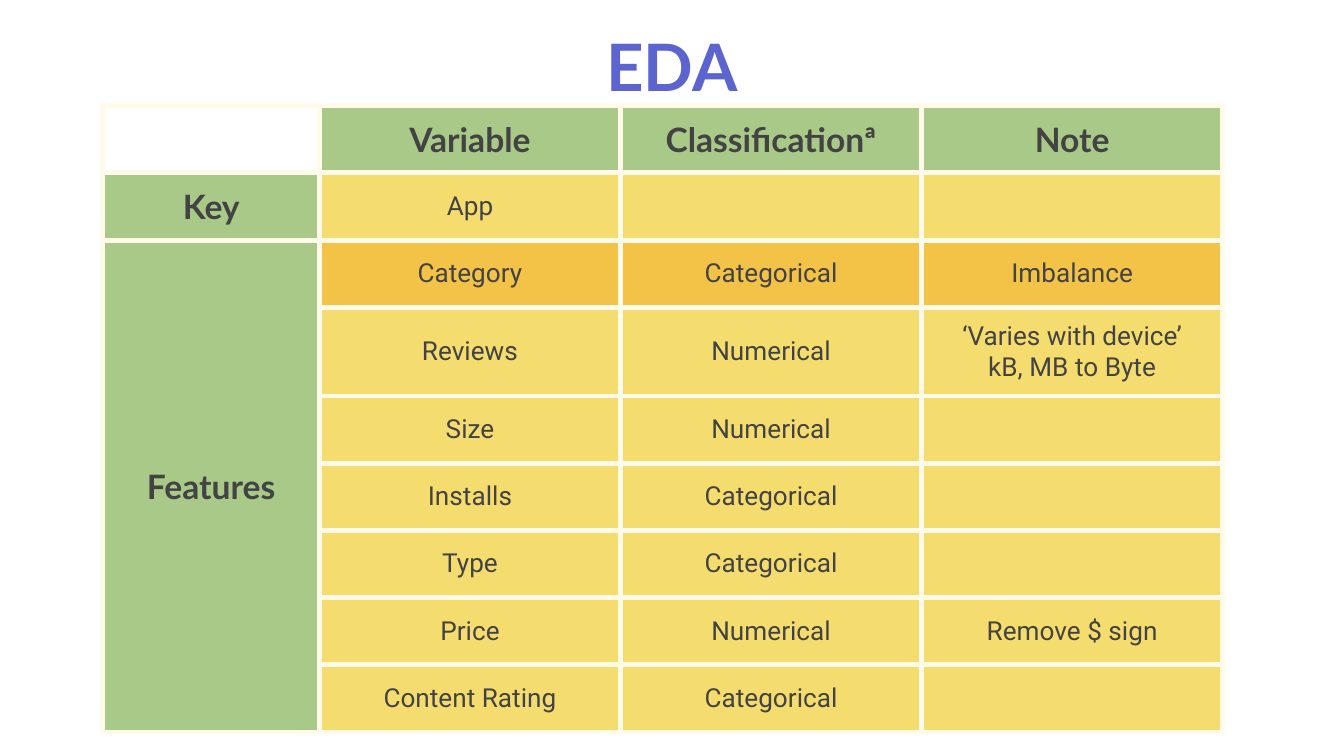
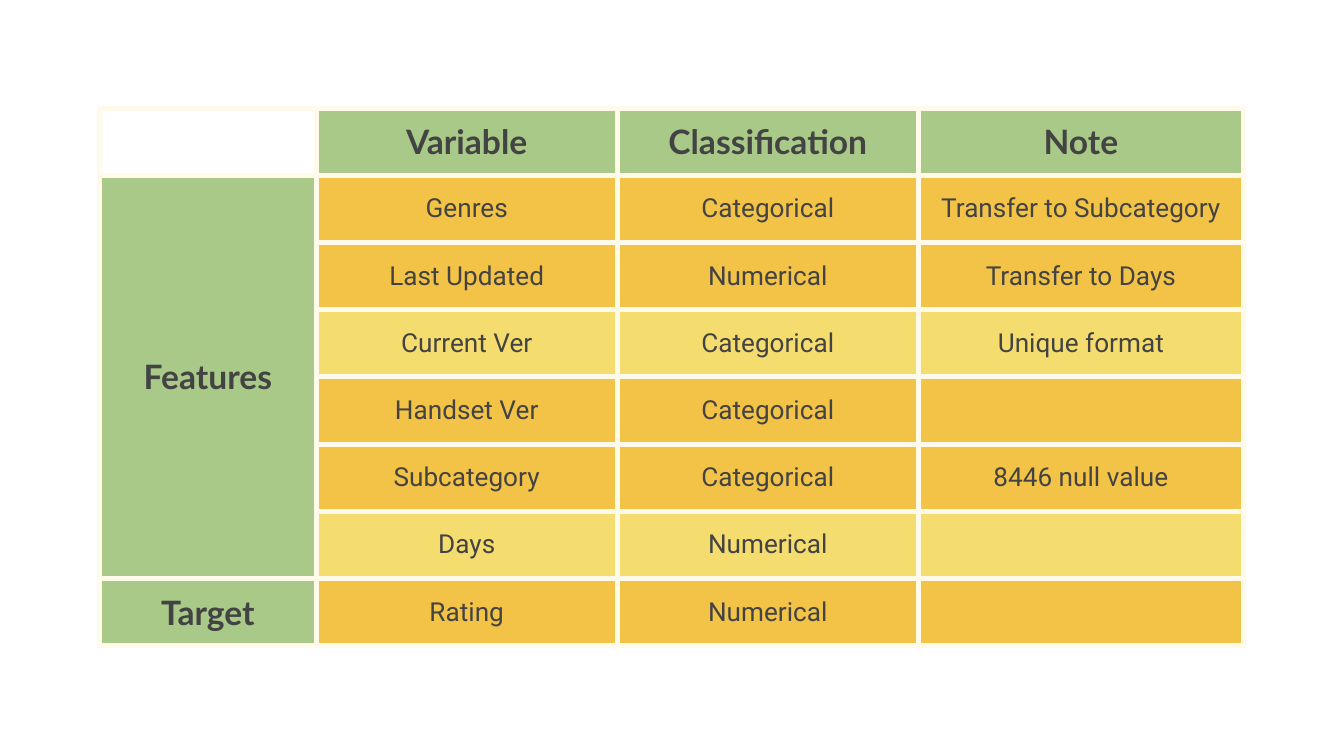
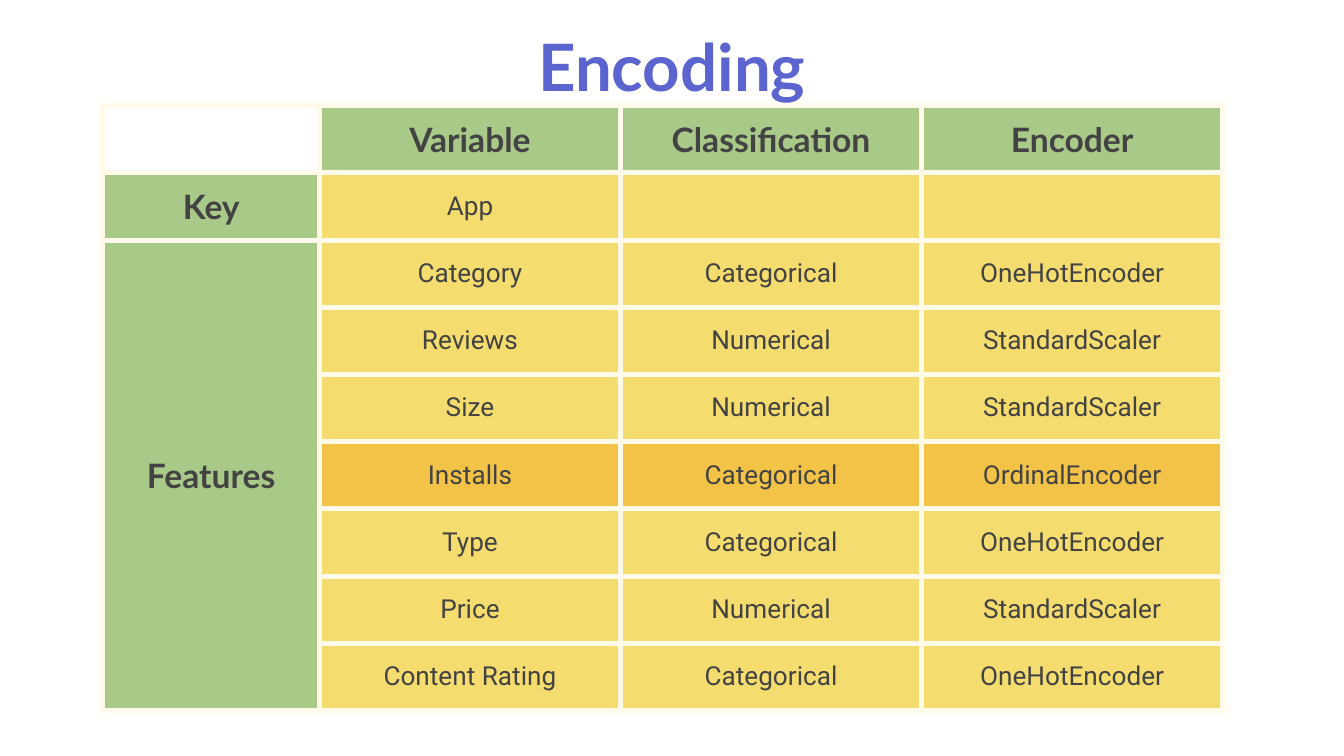
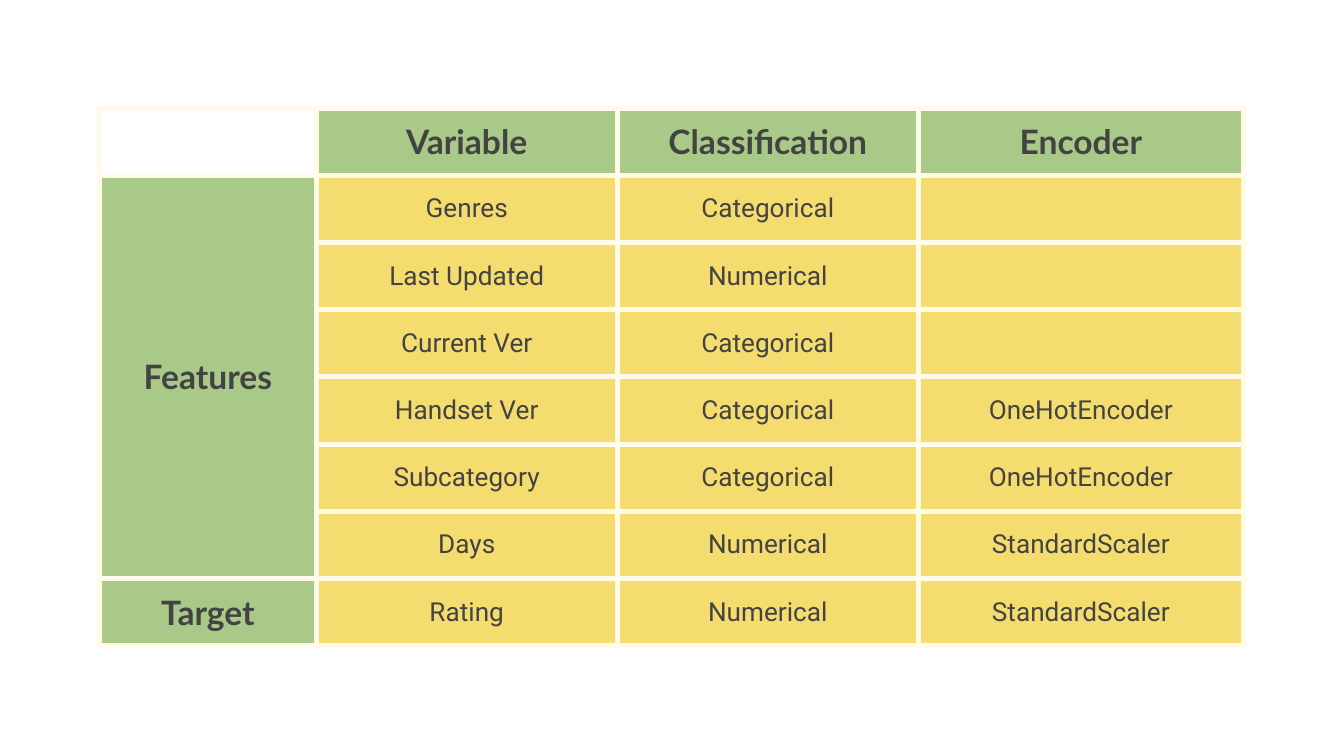
import pptx
import pptx.util
import pptx.dml.color
import pptx.enum.text
import pptx.oxml
import pptx.oxml.ns

Pt = pptx.util.Pt

# Shared look
GREEN, YELLOW, AMBER = "A8C987", "F5DC6E", "F3C347"
BORDER, INK, TITLE_BLUE = "FFFAEA", "434343", "5C65CF"
HEADING = ("Lato", 18, True)
BODY = ("Roboto", 14, False)
TITLE = ("Lato", 35, True)
INSET, BORDER_WIDTH = 7.2, 3
HEADER_HEIGHT, ROW_HEIGHT = 32, 36

# Boxes: left, top, width, height
TITLE_BOX = (62.64, 3.6, 594.72, 59.76)

# Left, top and column widths of the two table layouts
FIRST_TABLE = (55.15, 56.55, (116, 161.3, 161.3, 161.3))
SECOND_TABLE = (53.4, 57.9, (116, 161.3, 161.3, 174.2))

# Variables with their classification, and row groups with their lengths
FIRST_VARIABLES = [
    ("App", ""), ("Category", "Categorical"), ("Reviews", "Numerical"),
    ("Size", "Numerical"), ("Installs", "Categorical"), ("Type", "Categorical"),
    ("Price", "Numerical"), ("Content Rating", "Categorical"),
]
SECOND_VARIABLES = [
    ("Genres", "Categorical"), ("Last Updated", "Numerical"),
    ("Current Ver", "Categorical"), ("Handset Ver", "Categorical"),
    ("Subcategory", "Categorical"), ("Days", "Numerical"), ("Rating", "Numerical"),
]
FIRST_GROUPS = [("Key", 1), ("Features", 7)]
SECOND_GROUPS = [("Features", 6), ("Target", 1)]
ONE_HOT, SCALER, ORDINAL = "OneHotEncoder", "StandardScaler", "OrdinalEncoder"


def rgb(hex_color):
    return pptx.dml.color.RGBColor.from_string(hex_color)


def write(frame, text, style, color):
    """Write one centred paragraph per line of text."""
    family, size, bold = style
    for index, line in enumerate(text.split("\n")):
        paragraph = frame.paragraphs[0] if index == 0 else frame.add_paragraph()
        paragraph.alignment = pptx.enum.text.PP_ALIGN.CENTER
        run = paragraph.add_run()
        run.text = line
        run.font.name, run.font.size, run.font.bold = family, Pt(size), bold
        run.font.color.rgb = rgb(color)


def set_insets(holder):
    holder.margin_left = holder.margin_right = Pt(INSET)
    holder.margin_top = holder.margin_bottom = Pt(INSET)


def add_borders(cell):
    properties = cell._tc.get_or_add_tcPr()
    namespace = pptx.oxml.ns.nsdecls("a")
    for side in "LRTB":
        properties.append(pptx.oxml.parse_xml(
            f'<a:ln{side} {namespace} w="{Pt(BORDER_WIDTH)}"><a:solidFill>'
            f'<a:srgbClr val="{BORDER}"/></a:solidFill></a:ln{side}>'))


def fill_cell(cell, text, style, fill):
    set_insets(cell)
    cell.vertical_anchor = pptx.enum.text.MSO_ANCHOR.MIDDLE
    cell.fill.solid()
    cell.fill.fore_color.rgb = rgb(fill)
    if text:
        write(cell.text_frame, text, style, INK)


def add_title(slide, text, box):
    title = slide.shapes.title
    title.left, title.top, title.width, title.height = map(Pt, box)
    frame = title.text_frame
    frame.auto_size = pptx.enum.text.MSO_AUTO_SIZE.NONE
    frame.vertical_anchor = pptx.enum.text.MSO_ANCHOR.BOTTOM
    set_insets(frame)
    write(frame, text, TITLE, TITLE_BLUE)


def add_variable_table(slide, layout, headers, groups, variables, remarks, highlights):
    """Draw a table of variables; highlights are the names of the amber rows."""
    left, top, widths = layout
    height = HEADER_HEIGHT + ROW_HEIGHT * len(variables)
    table = slide.shapes.add_table(
        len(variables) + 1, len(widths), Pt(left), Pt(top),
        Pt(sum(widths)), Pt(height)).table
    table.first_row = table.horz_banding = False
    for column, width in zip(table.columns, widths):
        column.width = Pt(width)
    for index, row in enumerate(table.rows):
        row.height = Pt(ROW_HEIGHT if index else HEADER_HEIGHT)
    for cell in table.iter_cells():
        add_borders(cell)
        # Keep empty cells from stretching their row
        cell.text_frame.paragraphs[0]._p.append(pptx.oxml.parse_xml(
            f'<a:endParaRPr {pptx.oxml.ns.nsdecls("a")} sz="1400"/>'))

    # Header row, with an open corner
    table.cell(0, 0).fill.background()
    for index, header in enumerate(headers, 1):
        fill_cell(table.cell(0, index), header, HEADING, GREEN)

    # Row groups
    first = 1
    for group, length in groups:
        cell = table.cell(first, 0)
        if length > 1:
            cell.merge(table.cell(first + length - 1, 0))
        fill_cell(cell, group, HEADING, GREEN)
        first += length

    # Variables
    for row, ((variable, kind), remark) in enumerate(zip(variables, remarks), 1):
        fill = AMBER if variable in highlights else YELLOW
        for column, text in enumerate((variable, kind, remark), 1):
            fill_cell(table.cell(row, column), text, BODY, fill)


def add_first_slide(deck, title, headers, remarks, highlights):
    slide = deck.slides.add_slide(deck.slide_layouts.get_by_name("Title Only"))
    add_title(slide, title, TITLE_BOX)
    add_variable_table(slide, FIRST_TABLE, headers, FIRST_GROUPS,
                       FIRST_VARIABLES, remarks, highlights)


def add_second_slide(deck, headers, remarks, highlights):
    slide = deck.slides.add_slide(deck.slide_layouts.get_by_name("Blank"))
    add_variable_table(slide, SECOND_TABLE, headers, SECOND_GROUPS,
                       SECOND_VARIABLES, remarks, highlights)


def main():
    deck = pptx.Presentation()
    deck.slide_width, deck.slide_height = Pt(720), Pt(405)

    # Exploratory analysis
    add_first_slide(
        deck, "EDA", ("Variable", "Classificationª", "Note"),
        ["", "Imbalance", "‘Varies with device’\nkB, MB to Byte", "", "", "",
         "Remove $ sign", ""],
        {"Category"})
    add_second_slide(
        deck, ("Variable", "Classification", "Note"),
        ["Transfer to Subcategory", "Transfer to Days", "Unique format", "",
         "8446 null value", "", ""],
        {"Genres", "Last Updated", "Handset Ver", "Subcategory", "Rating"})

    # Encoding
    encoder_headers = ("Variable", "Classification", "Encoder")
    add_first_slide(
        deck, "Encoding", encoder_headers,
        ["", ONE_HOT, SCALER, SCALER, ORDINAL, ONE_HOT, SCALER, ONE_HOT],
        {"Installs"})
    add_second_slide(
        deck, encoder_headers,
        ["", "", "", ONE_HOT, ONE_HOT, SCALER, SCALER], set())

    deck.save("out.pptx")


if __name__ == "__main__":
    main()
